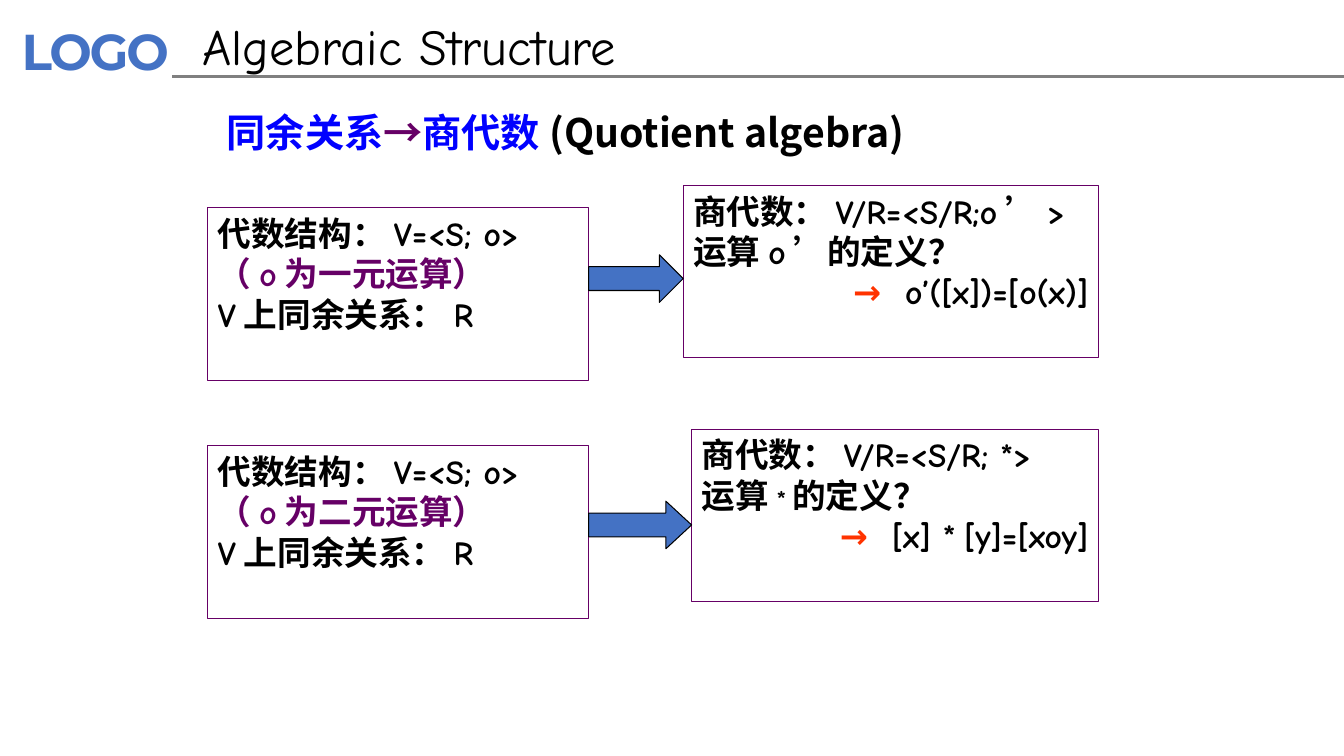
from lxml import etree
from pptx import Presentation
from pptx.dml.color import RGBColor
from pptx.enum.shapes import MSO_CONNECTOR, MSO_SHAPE
from pptx.enum.text import MSO_ANCHOR, MSO_AUTO_SIZE, PP_ALIGN
from pptx.oxml.ns import qn
from pptx.util import Pt

RECTANGLE, RIGHT_ARROW = MSO_SHAPE.RECTANGLE, MSO_SHAPE.RIGHT_ARROW
STRAIGHT = MSO_CONNECTOR.STRAIGHT
TOP, NO_AUTOFIT = MSO_ANCHOR.TOP, MSO_AUTO_SIZE.NONE
LEFT, RIGHT = PP_ALIGN.LEFT, PP_ALIGN.RIGHT

COLORS = {
    "black": "000000",
    "blue": "0000FF",
    "accent": "4472C4",
    "purple": "660066",
    "red": "FF3300",
    "grey": "808080",
}
HAND, CJK, BRAND = "Comic Neue", "Noto Sans CJK SC", "Montserrat"
BOX_LEFT, BOX_RIGHT = 148.5, 784.5
STRUCTURE_WIDTH, BOX_HEIGHT = 272, 123
ARROW_HEIGHT = 34


def rgb(name):
    return RGBColor.from_string(COLORS[name])


def add_run(p, text, size, color="black", font=HAND, bold=True):
    r = p.add_run()
    r.text = text
    r.font.size = Pt(size)
    r.font.bold = bold
    r.font.name = font
    r.font.color.rgb = rgb(color)
    etree.SubElement(r._r.get_or_add_rPr(), qn("a:ea"), typeface=CJK)
    return r


def place(sp, left, top, width, height):
    sp.left, sp.top, sp.width, sp.height = map(Pt, (left, top, width, height))
    tf = sp.text_frame
    tf.word_wrap = True
    tf.auto_size = NO_AUTOFIT
    tf.vertical_anchor = TOP
    return tf


def add_header(slide):
    """Logo word, rule and slide title."""
    sp = slide.shapes.add_textbox(0, 0, 0, 0)
    tf = place(sp, 6, 9.5, 134, 53)
    tf.margin_left = tf.margin_right = Pt(9.4)
    tf.margin_top = tf.margin_bottom = Pt(5)
    r = add_run(tf.paragraphs[0], "LOGO", 36, "accent", BRAND)
    r._r.get_or_add_rPr().set("spc", "-150")

    rule = slide.shapes.add_connector(STRAIGHT, Pt(123), Pt(54.7), Pt(960), Pt(54.7))
    rule.line.color.rgb = rgb("grey")
    rule.line.width = Pt(2)
    etree.SubElement(rule._element.spPr, qn("a:effectLst"))

    p = place(slide.shapes.title, 137.5, 7.2, 453.6, 94.3).paragraphs[0]
    p.alignment = LEFT
    add_run(p, "Algebraic Structure", 36, bold=False)


def add_heading(slide, runs):
    p = place(slide.placeholders[1], 154.8, 80, 606, 43).paragraphs[0]
    p.line_spacing = 0.8
    p.space_before = Pt(10)
    pPr = p._p.get_or_add_pPr()
    pPr.set("marL", str(Pt(18)))
    pPr.set("indent", str(Pt(-18)))
    etree.SubElement(pPr, qn("a:buNone"))
    for text, color in runs:
        add_run(p, text, 28, color, CJK)


def add_box(slide, left, top, width, lines):
    """Outlined box; each line is a list of (text, colour, size, bold) runs."""
    sp = slide.shapes.add_shape(RECTANGLE, 0, 0, 0, 0)
    sp.shadow.inherit = False
    sp.fill.background()
    sp.line.color.rgb = rgb("purple")
    sp.line.width = Pt(0.75)
    tf = place(sp, left, top, width, BOX_HEIGHT)
    for i, line in enumerate(lines):
        p = tf.add_paragraph() if i else tf.paragraphs[0]
        p.alignment = RIGHT if line[0][0].startswith("→") else LEFT
        for text, color, size, bold in line:
            add_run(p, text, size, color, bold=bold)


def add_arrow(slide, left, top, width, head):
    sp = slide.shapes.add_shape(
        RIGHT_ARROW, Pt(left), Pt(top), Pt(width), Pt(ARROW_HEIGHT))
    sp.adjustments[1] = head
    sp.shadow.inherit = False
    sp.fill.solid()
    sp.fill.fore_color.rgb = rgb("accent")
    sp.line.color.rgb = rgb("black")
    sp.line.width = Pt(0.75)


def plain(text, color="black", size=24, bold=True):
    return text, color, size, bold


def add_row(slide, arity, structure_top, quotient_left, quotient_top,
            quotient_lines, arrow_top, head):
    """A structure, an arrow and the quotient algebra it leads to."""
    add_box(slide, BOX_LEFT, structure_top, STRUCTURE_WIDTH, [
        [plain("代数结构：V=<S; o>")],
        [plain(f"（o为{arity}元运算）", "purple")],
        [plain("V上同余关系：R")],
    ])
    add_box(slide, quotient_left, quotient_top, BOX_RIGHT - quotient_left,
            quotient_lines)
    arrow_left = BOX_LEFT + STRUCTURE_WIDTH
    add_arrow(slide, arrow_left, arrow_top, quotient_left - arrow_left, head)


def main():
    prs = Presentation()
    prs.slide_width, prs.slide_height = Pt(960), Pt(540)
    slide = prs.slides.add_slide(prs.slide_layouts[1])

    add_header(slide)
    add_heading(slide, [
        ("同余关系", "blue"),
        ("→", "purple"),
        ("商代数", "blue"),
        ("(Quotient algebra)", "black"),
    ])
    add_row(slide, "一", 148.5, 488, 132.5, [
        [plain("商代数：V/R=<S/R;o’>")],
        [plain("运算o’的定义？")],
        [plain("→  ", "red"), plain("o’([x])=[o(x)]")],
    ], 182, 0.5)
    add_row(slide, "二", 318.5, 494, 306.5, [
        [plain("商代数：V/R=<S/R; *>")],
        [plain("运算"), plain("*", size=18), plain("的定义？")],
        [plain("→  ", "red"), plain("[x] *"), plain(" ", size=18, bold=False),
         plain("[y]=[xoy]")],
    ], 358, 0.54)
    prs.save("out.pptx")


if __name__ == "__main__":
    main()
